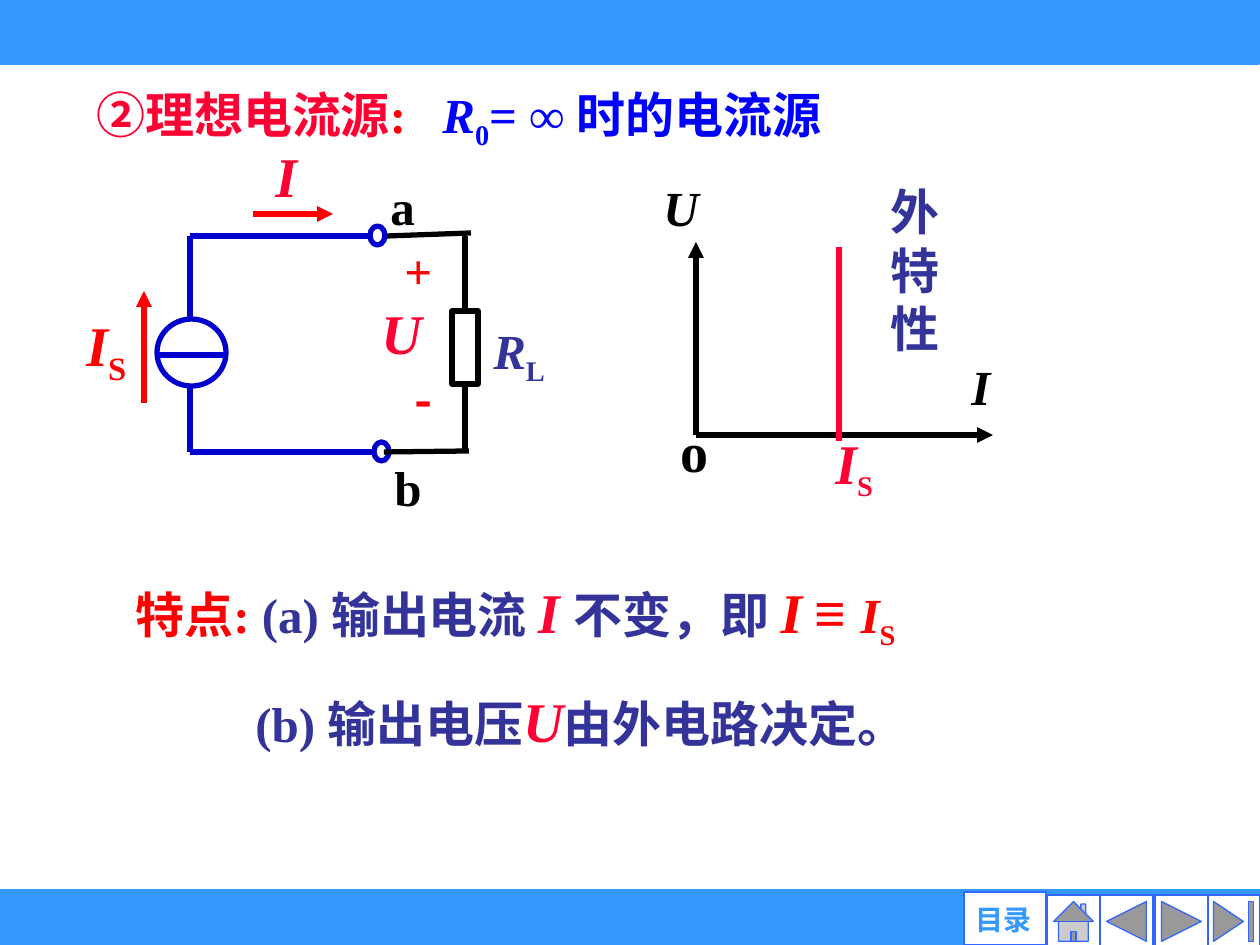
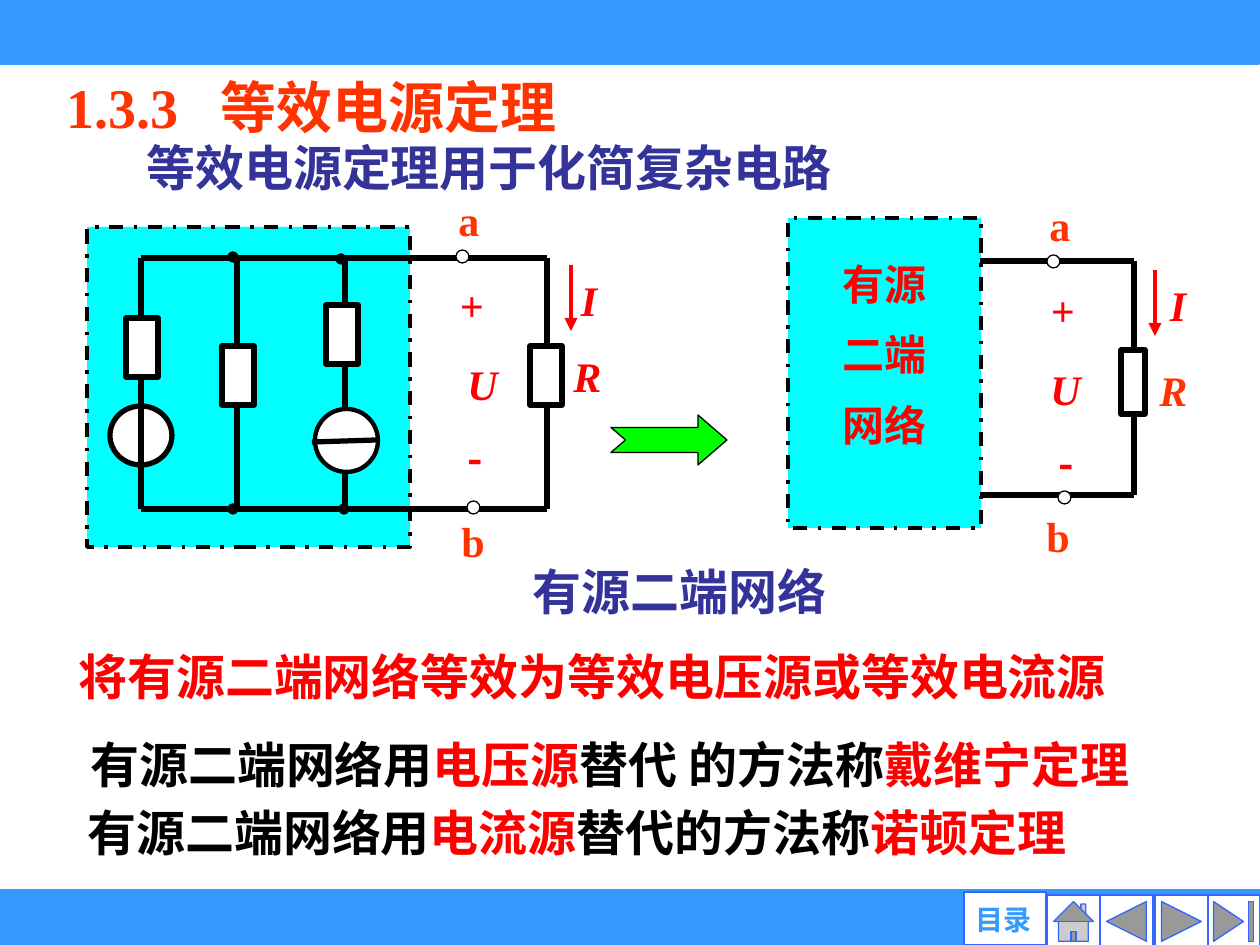
from dataclasses import dataclass
from typing import Any

from lxml.etree import SubElement
from pptx import Presentation
from pptx.dml.color import RGBColor
from pptx.enum.dml import MSO_LINE
from pptx.enum.shapes import MSO_CONNECTOR, MSO_SHAPE
from pptx.enum.text import MSO_ANCHOR, MSO_AUTO_SIZE, PP_ALIGN
from pptx.oxml.ns import qn
from pptx.util import Emu, Pt

PX = 914400 / 126
LATIN, CHINESE, SANS = "Times New Roman", "Noto Sans CJK SC", "Arial"
COLORS = {
    "band": "3399FF", "button": "3366FF", "white": "FFFFFF", "black": "000000",
    "red": "FF0000", "crimson": "FF0033", "orange": "FF3300", "navy": "333399",
    "blue": "0000FF", "wire": "0000CC", "cyan": "00FFFF", "green": "00FF00",
}


def px(length):
    return Emu(round(length * PX))


def color(name):
    return RGBColor.from_string(COLORS[name])


def write(frame, paragraphs, spacing=None, align=PP_ALIGN.LEFT, font=LATIN, tab=None):
    """Each run is (text, colour, size, style); style holds i (italic) or s (subscript)."""
    for index, runs in enumerate(paragraphs):
        paragraph = frame.paragraphs[0] if index == 0 else frame.add_paragraph()
        paragraph.alignment = align
        if spacing:
            paragraph.line_spacing = spacing
        if tab:
            stops = SubElement(paragraph._p.get_or_add_pPr(), qn("a:tabLst"))
            SubElement(stops, qn("a:tab"), pos=str(px(tab)), algn="l")
        for text, ink, size, style in runs:
            run = paragraph.add_run()
            run.text = text
            run.font.name, run.font.size = font, Pt(size)
            run.font.bold, run.font.italic = True, "i" in style
            run.font.color.rgb = color(ink)
            properties = run._r.get_or_add_rPr()
            SubElement(properties, qn("a:ea"), typeface=CHINESE)
            if "s" in style:
                properties.set("baseline", "-25000")


@dataclass
class Region:
    """A part of a slide; all lengths are px from its own left top corner."""
    slide: Any
    left: int = 0
    top: int = 0

    def place(self, box):
        left, top, width, height = box
        return px(self.left + left), px(self.top + top), px(width), px(height)

    def shape(self, kind, box, fill="white", line="black", weight=3.0):
        shape = self.slide.shapes.add_shape(kind, *self.place(box))
        shape.shadow.inherit = False
        shape.fill.solid()
        shape.fill.fore_color.rgb = color(fill)
        shape.line.color.rgb = color(line)
        shape.line.width = Pt(weight)
        return shape

    def rect(self, box, **look):
        return self.shape(MSO_SHAPE.RECTANGLE, box, **look)

    def oval(self, box, **look):
        return self.shape(MSO_SHAPE.OVAL, box, **look)

    def line(self, x1, y1, x2, y2, ink="black", weight=3.0, arrow=False):
        wire = self.slide.shapes.add_connector(
            MSO_CONNECTOR.STRAIGHT, px(self.left + x1), px(self.top + y1),
            px(self.left + x2), px(self.top + y2))
        wire.line.color.rgb = color(ink)
        wire.line.width = Pt(weight)
        if arrow:
            SubElement(wire.line._get_or_add_ln(), qn("a:tailEnd"), type="triangle")
        SubElement(wire._element.spPr, qn("a:effectLst"))

    def text(self, box, *paragraphs, wrap=True, anchor=MSO_ANCHOR.TOP, **look):
        frame = self.slide.shapes.add_textbox(*self.place(box)).text_frame
        frame.word_wrap = wrap
        frame.auto_size = MSO_AUTO_SIZE.SHAPE_TO_FIT_TEXT
        frame.vertical_anchor = anchor
        write(frame, paragraphs, **look)
        return frame

    def label(self, box, *runs, **look):
        self.text(box, runs, wrap=False, **look)


def set_insets(frame, left, top, right, bottom):
    frame.margin_left, frame.margin_top = px(left), px(top)
    frame.margin_right, frame.margin_bottom = px(right), px(bottom)


def add_dashed_box(region, box):
    dashed = region.rect(box, fill="cyan", weight=2)
    dashed.line.dash_style = MSO_LINE.DASH_DOT
    return dashed


def add_frame(slide):
    """Top band, bottom band and navigation buttons."""
    page = Region(slide)
    page.rect((0, 0, 1259, 64), fill="band", line="band", weight=0)
    footer = Region(slide, 1, 892)
    footer.rect((0, 0, 1259, 53), fill="band", line="band")
    buttons = [
        (MSO_SHAPE.ACTION_BUTTON_END, 1206), (MSO_SHAPE.ACTION_BUTTON_FORWARD_OR_NEXT, 1154),
        (MSO_SHAPE.ACTION_BUTTON_BACK_OR_PREVIOUS, 1099), (MSO_SHAPE.ACTION_BUTTON_HOME, 1046),
    ]
    for kind, left in buttons:
        footer.shape(kind, (left, 3, 53, 53), line="button", weight=0.75)
    footer.shape(MSO_SHAPE.ACTION_BUTTON_CUSTOM, (963, 0, 82, 53), line="button", weight=0.75)
    contents = footer.text((963, 10, 79, 34), [("目录", "band", 16, "")],
                           anchor=MSO_ANCHOR.MIDDLE, align=PP_ALIGN.CENTER, font=SANS)
    set_insets(contents, 0, 0, 0, 0)


# Slide 1: ideal current source

def add_source_circuit(slide, left, top):
    circuit = Region(slide, left, top)
    # Source side
    for y in (0, 216):
        circuit.line(0, y, 182, y, "wire")
    circuit.line(0, 0, 0, 216, "wire")
    circuit.oval((-33, 83, 69, 67), line="wire")
    circuit.line(-31, 119, 38, 119, "wire")
    for terminal in ((180, -10, 15, 19), (184, 206, 15, 19)):
        circuit.oval(terminal, line="wire")
    # Load side
    circuit.line(197, 0, 281, -3)
    circuit.line(194, 216, 279, 215)
    circuit.line(275, 0, 275, 215)
    circuit.rect((262, 75, 26, 73))
    # Current arrows
    circuit.line(63, -22, 143, -22, "red", arrow=True)
    circuit.line(-46, 167, -46, 55, "red", arrow=True)
    # Labels
    circuit.label((188, -66, 50, 72), ("a", "black", 28, ""))
    circuit.label((192, 215, 53, 72), ("b", "black", 28, ""))
    circuit.label((73, -101, 48, 79), ("I", "crimson", 32, "i"))
    circuit.label((179, 56, 66, 79), ("U", "crimson", 32, "i"))
    circuit.label((-116, 68, 68, 79), ("I", "red", 32, "i"), ("S", "red", 32, "s"))
    circuit.text((291, 78, 86, 72), [("R", "navy", 28, "i"), ("L", "navy", 28, "s")])
    circuit.label((202, -2, 53, 72), ("+", "red", 28, ""))
    circuit.label((212, 127, 50, 72), ("-", "red", 28, ""), font=CHINESE)


def add_characteristic(slide, left, top):
    """U-I graph, placed by its zero point."""
    graph = Region(slide, left, top)
    graph.line(0, 0, 0, -193, arrow=True)
    graph.line(0, 0, 297, 0, arrow=True)
    graph.line(143, 6, 143, -188, "crimson")
    graph.label((263, -85, 44, 72), ("I", "black", 28, "i"))
    graph.label((-45, -264, 60, 72), ("U", "black", 28, "i"))
    graph.label((127, -13, 66, 79), ("I", "crimson", 32, "i"), ("S", "crimson", 28, "s"))
    graph.label((-28, -25, 53, 79), ("o", "black", 32, ""))
    graph.text((182, -260, 79, 189), *[[(char, "navy", 28, "")] for char in "外特性"])


def build_ideal_source(slide):
    add_frame(slide)
    page = Region(slide)
    page.text((84, 78, 814, 72), [
        ("②理想电流源", "crimson", 28, ""), (":\t", "red", 28, ""), ("R", "blue", 28, "i"),
        ("0", "blue", 28, "s"), ("= ∞ 时的电流源", "blue", 28, "")], tab=346)
    add_characteristic(slide, 696, 435)
    add_source_circuit(slide, 190, 236)
    # Features
    page.text((123, 564, 1076, 87), [
        ("特点: ", "red", 28, ""), ("(a) 输出电流 ", "navy", 28, ""),
        ("I ", "crimson", 32, "i"), ("不变，即 ", "navy", 28, ""),
        ("I", "red", 32, "i"), (" ", "red", 28, "i"), ("≡ ", "red", 32, ""),
        ("I", "red", 28, "i"), ("S", "red", 28, "s")], spacing=1.1)
    page.text((243, 680, 679, 79), [
        ("(b) 输出电压", "navy", 28, ""), ("U", "crimson", 32, "i"),
        ("由外电路决定。", "navy", 28, "")])


# Slide 2: equivalent source theorem

def add_load_port(slide, left, top, start, load, wire_top, wire_bottom, resistor,
                  r_spot, r_ink, b_spot, b_terminal, u_left, arrow_x, i_left):
    """Terminals a and b with the load resistor between them."""
    port = Region(slide, left, top)
    for y in (wire_top, wire_bottom):
        port.line(start, y, load, y)
    port.line(load, wire_top, load, wire_bottom)
    port.rect(resistor)
    for x, y in ((10, -8), (21, b_terminal)):
        port.oval((x, y, 13, 13), weight=0.75)
    port.line(arrow_x, 7, arrow_x, 73, "red", 2.5, arrow=True)
    port.label((0, -70, 47, 63), ("a", "orange", 24, ""))
    port.text((*b_spot, 62, 63), [("b", "orange", 24, "")])
    symbols = [
        ("+", (1, 15, 49, 63), "red"), ("U", (u_left, 94, 55, 63), "red"),
        ("I", (i_left, 10, 42, 63), "red"), ("R", (*r_spot, 53, 63), r_ink),
    ]
    for symbol, box, ink in symbols:
        port.label(box, (symbol, ink, 24, "i"), align=PP_ALIGN.CENTER)
    port.label((6, 168, 47, 63), ("-", "red", 24, ""), align=PP_ALIGN.CENTER, font=CHINESE)


def add_full_network(slide, left, top):
    network = Region(slide, left, top)
    add_dashed_box(network, (0, 0, 323, 320))
    add_load_port(slide, left + 359, top + 31, start=-305, load=101, wire_top=0,
                  wire_bottom=251, resistor=(84, 88, 32, 59), r_spot=(115, 86), r_ink="red",
                  b_spot=(3, 251), b_terminal=243, u_left=9, arrow_x=125, i_left=122)
    # Branches
    network.oval((23, 179, 62, 59))
    for x, resistor_left, resistor_top in ((54, 39, 91), (150, 135, 119), (258, 239, 78)):
        network.line(x, 31, x, 282)
        network.rect((resistor_left, resistor_top, 32, 59))
    network.oval((228, 182, 63, 63), weight=2.5)
    network.line(225, 215, 290, 213)
    # Nodes
    for x, y in ((141, 25), (249, 27), (252, 277), (141, 277)):
        network.oval((x, y, 10, 10), fill="black", weight=0.75)


def add_active_network(slide, left, top):
    network = Region(slide, left, top)
    frame = add_dashed_box(network, (0, 0, 193, 310)).text_frame
    frame.word_wrap = False
    frame.vertical_anchor = MSO_ANCHOR.MIDDLE
    set_insets(frame, 13, 11, 13, 69)
    write(frame, [[(words, "red", 24, "")] for words in ("有源", "二端", "网络")],
          spacing=1.4, align=PP_ALIGN.CENTER)
    add_load_port(slide, left + 249, top + 45, start=-57, load=97, wire_top=-2,
                  wire_bottom=232, resistor=(84, 87, 24, 64), r_spot=(110, 95),
                  r_ink="orange", b_spot=(-3, 241), b_terminal=228, u_left=1,
                  arrow_x=118, i_left=120)


def build_equivalent_source(slide):
    add_frame(slide)
    page = Region(slide)
    page.label((54, 66, 517, 79), ("1.3.3\t等效电源定理", "orange", 32, ""), tab=154)
    page.text((134, 131, 766, 72), [("等效电源定理用于化简复杂电路", "navy", 28, "")])
    add_full_network(slide, 87, 227)
    add_active_network(slide, 788, 218)
    becomes = page.shape(MSO_SHAPE.NOTCHED_RIGHT_ARROW, (611, 415, 116, 50),
                         fill="green", weight=0.75)
    becomes.adjustments[0], becomes.adjustments[1] = 0.5, 0.58
    page.text((481, 532, 397, 96), [("有源二端网络", "navy", 28, "")],
              spacing=1.4, align=PP_ALIGN.CENTER)
    page.text((66, 617, 1169, 96),
              [("将有源二端网络等效为等效电压源或等效电流源", "red", 28, "")], spacing=1.4)
    # Theorems
    theorems = [
        ((78, 728, 1137, 72), "电压源", "替代 的方法称", "戴维宁定理"),
        ((75, 796, 1130, 72), "电流源", "替代的方法称", "诺顿定理"),
    ]
    for box, source, link, theorem in theorems:
        page.text(box, [("有源二端网络用", "black", 28, ""), (source, "red", 28, ""),
                        (link, "black", 28, ""), (theorem, "red", 28, "")],
                  anchor=MSO_ANCHOR.MIDDLE)


def main():
    deck = Presentation()
    deck.slide_width, deck.slide_height = px(1260), px(945)
    for build in (build_ideal_source, build_equivalent_source):
        build(deck.slides.add_slide(deck.slide_layouts[6]))
    deck.save("out.pptx")


if __name__ == "__main__":
    main()
